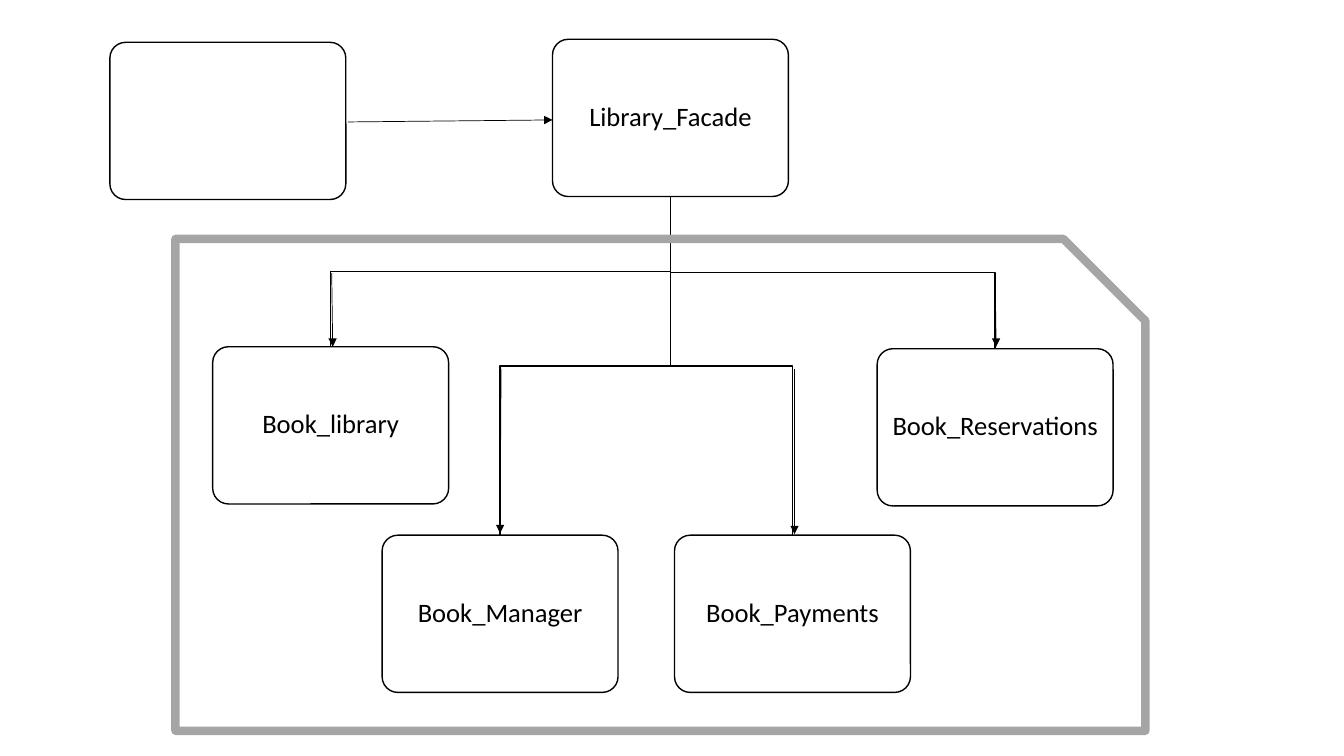
import dataclasses
import pptx
import pptx.dml.color
import pptx.enum.shapes
import pptx.enum.text
import pptx.oxml
import pptx.oxml.ns
import pptx.util

Inches = pptx.util.Inches
Pt = pptx.util.Pt
Kind = pptx.enum.shapes.MSO_SHAPE
HUES = {"ink": "000000", "paper": "FFFFFF", "frame": "A5A5A5"}
WIDE, HIGH = 2.34, 1.56


@dataclasses.dataclass
class Box:
    left: float
    top: float
    text: str = ""

    @property
    def mid(self) -> float:
        return self.left + WIDE / 2


@dataclasses.dataclass
class Arrow:
    start: tuple[float, float]
    end: tuple[float, float]


def hue(name: str) -> pptx.dml.color.RGBColor:
    return pptx.dml.color.RGBColor.from_string(HUES[name])


def put(item, values: dict) -> None:
    for name, value in values.items():
        setattr(item, name, value)


def ink(shape, width: float, name: str = "ink") -> None:
    shape.line.color.rgb = hue(name)
    shape.line.width = Pt(width)


def draw_box(box: Box) -> None:
    shape = slide.shapes.add_shape(
        Kind.ROUNDED_RECTANGLE, *map(Inches, (box.left, box.top, WIDE, HIGH)))
    shape.shadow.inherit = False
    shape.adjustments[0] = 0.1
    shape.fill.solid()
    shape.fill.fore_color.rgb = hue("paper")
    ink(shape, 1)
    if box.text:
        frame = shape.text_frame
        put(frame, FRAME)
        para = frame.paragraphs[0]
        put(para, PARA)
        run = para.add_run()
        run.text = box.text
        put(run.font, FONT)
        run.font.color.rgb = hue("ink")


def draw_elbow(top: Box, low: Box) -> None:
    start = top.top + HIGH
    bend = (start + low.top) / 2
    spots = [(top.mid, bend), (low.mid, bend), (low.mid, low.top)]
    pen = slide.shapes.build_freeform(Inches(top.mid), Inches(start))
    pen.add_line_segments([(Inches(x), Inches(y)) for x, y in spots], close=False)
    shape = pen.convert_to_shape()
    shape.shadow.inherit = False
    shape.fill.background()
    ink(shape, 1)


def draw_arrow(arrow: Arrow) -> None:
    line = slide.shapes.add_connector(
        pptx.enum.shapes.MSO_CONNECTOR.STRAIGHT,
        *map(Inches, (*arrow.start, *arrow.end)))
    ink(line, 0.5)
    space = pptx.oxml.ns.nsdecls("a")
    line.line._get_or_add_ln().append(
        pptx.oxml.parse_xml(f'<a:tailEnd {space} type="triangle"/>'))
    line._element.spPr.append(pptx.oxml.parse_xml(f"<a:effectLst {space}/>"))


# Text format
FRAME = {"word_wrap": True, "vertical_anchor": pptx.enum.text.MSO_ANCHOR.MIDDLE,
         **{f"margin_{side}": Inches(0.08) for side in ("left", "right", "top", "bottom")}}
PARA = {"alignment": pptx.enum.text.PP_ALIGN.CENTER, "line_spacing": 0.9}
FONT = {"name": "Calibri", "size": Pt(19)}

# Slide
deck = pptx.Presentation()
put(deck, {"slide_width": Inches(13.33), "slide_height": Inches(7.5)})
slide = deck.slides.add_slide(deck.slide_layouts[6])

# Client, facade and the classes behind it
client = Box(1.09, 0.42)
facade = Box(5.48, 0.39, "Library_Facade")
parts = [
    Box(2.11, 3.44, "Book_library"),
    Box(3.79, 5.31, "Book_Manager"),
    Box(6.69, 5.31, "Book_Payments"),
    Box(8.7, 3.46, "Book_Reservations"),
]
for box in (client, facade):
    draw_box(box)
for part in parts:
    draw_elbow(facade, part)
    draw_box(part)

# Arrows
arrows = [
    Arrow((3.45, 1.21), (5.48, 1.19)),
    Arrow((3.29, 2.71), (3.3, 3.44)),
    Arrow((9.87, 2.71), (9.88, 3.44)),
    Arrow((4.97, 3.66), (4.96, 5.29)),
    Arrow((7.88, 3.66), (7.88, 5.3)),
]
for arrow in arrows:
    draw_arrow(arrow)

# Frame round the subsystem
rim = slide.shapes.add_shape(
    Kind.SNIP_1_RECTANGLE, *map(Inches, (1.74, 2.37, 9.62, 4.88)))
rim.shadow.inherit = False
rim.fill.background()
ink(rim, 6, "frame")

deck.save("out.pptx")
